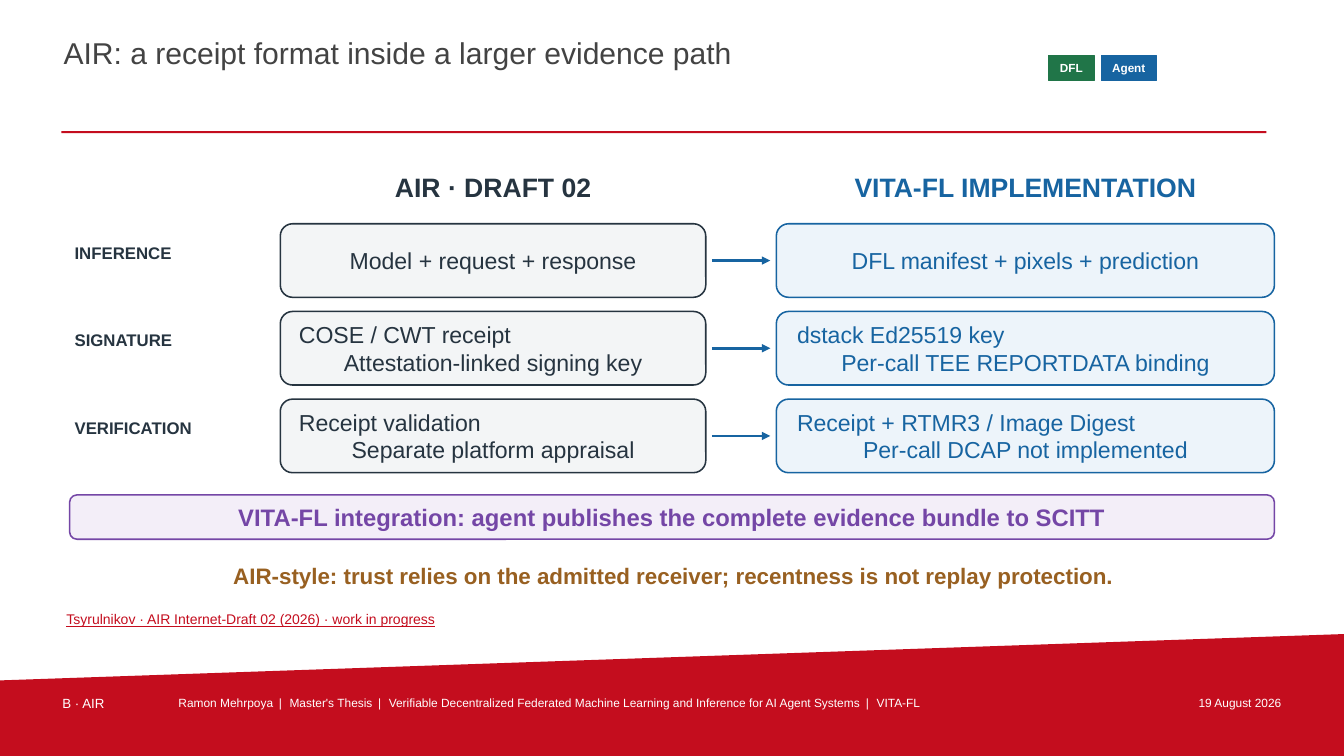
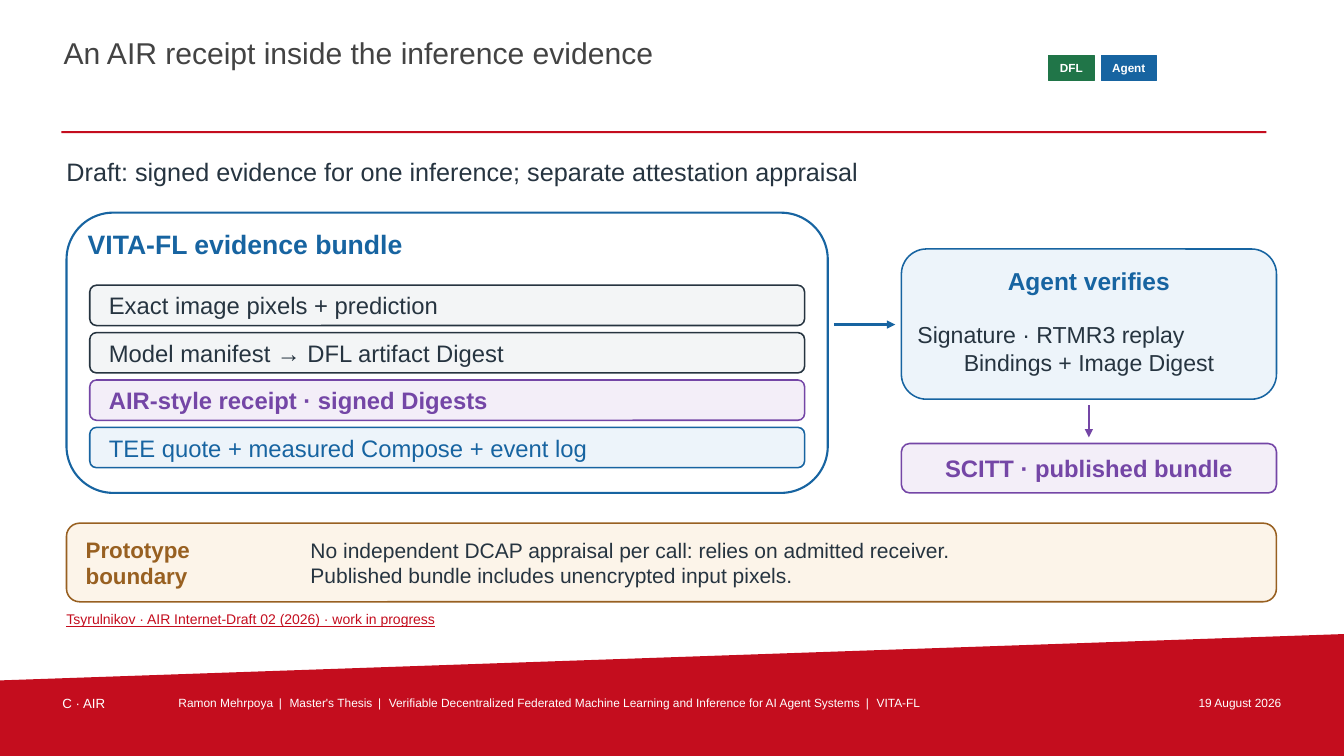
from itertools import accumulate

from lxml.etree import SubElement
from pptx import Presentation
from pptx.dml.color import RGBColor
from pptx.enum.shapes import MSO_CONNECTOR as Connector, MSO_SHAPE as Shape
from pptx.enum.text import MSO_ANCHOR as Anchor, PP_ALIGN as Align
from pptx.oxml.ns import qn
from pptx.util import Inches, Pt

WIDTH, HEIGHT = 13.33, 7.5
FONT = "Arial"
COLORS = {
    "red": "C40D1E", "title": "434343", "white": "FFFFFF", "green": "207548",
    "ink": "263440", "blue": "1764A1", "purple": "7446A6", "brown": "986021",
    "ink_tint": "F3F5F6", "blue_tint": "EDF4FA", "purple_tint": "F3EEF8",
    "brown_tint": "FCF4E9",
}
FOOTER = ["Ramon Mehrpoya", "Master's Thesis",
          "Verifiable Decentralized Federated Machine Learning and Inference for AI Agent Systems",
          "VITA-FL"]
SOURCE = "Tsyrulnikov · AIR Internet-Draft 02 (2026) · work in progress"
SEPARATOR_SPACING = "157"
ARROW_GAP = 0.06


def color(name):
    """Return a palette colour."""
    return RGBColor.from_string(COLORS[name])


def tracks(start, sizes, gap):
    """Return (start, size) pairs of columns or rows laid out with equal gaps."""
    starts = accumulate(sizes[:-1], lambda edge, size: edge + size + gap, initial=start)
    return list(zip(starts, sizes))


def write(shape, lines, size=16.5, ink="ink", bold=False, underline=False, align=Align.LEFT,
          first_align=None, anchor=Anchor.MIDDLE, inset=0, inset_y=0):
    """Fill a shape with lines; a line is a string or a list of runs with spaced separators."""
    frame = shape.text_frame
    frame.word_wrap = True
    frame.vertical_anchor = anchor
    frame.margin_left = frame.margin_right = Inches(inset)
    frame.margin_top = frame.margin_bottom = Inches(inset_y)
    for index, line in enumerate(lines):
        paragraph = frame.add_paragraph() if index else frame.paragraphs[0]
        paragraph.alignment = align if index or first_align is None else first_align
        for position, content in enumerate([line] if isinstance(line, str) else line):
            run = paragraph.add_run()
            run.text = content
            run.font.name, run.font.size = FONT, Pt(size)
            run.font.bold, run.font.underline = bold, underline
            run.font.color.rgb = color(ink)
            if position % 2:
                run.font._element.set("spc", SEPARATOR_SPACING)


def text(slide, box, *lines, **style):
    """Add a text box."""
    write(slide.shapes.add_textbox(*map(Inches, box)), lines, **style)


def card(slide, box, *lines, fill, line=None, weight=1.1, preset=Shape.ROUNDED_RECTANGLE, **style):
    """Add a filled shape with optional outline and text."""
    shape = slide.shapes.add_shape(preset, *map(Inches, box))
    shape.shadow.inherit = False
    shape.fill.solid()
    shape.fill.fore_color.rgb = color(fill)
    if line:
        shape.line.color.rgb = color(line)
        shape.line.width = Pt(weight)
    else:
        shape.line.fill.background()
    write(shape, lines, **style)


def arrow(slide, start, end, ink="blue", weight=1.9):
    """Add a straight arrow between two points."""
    connector = slide.shapes.add_connector(Connector.STRAIGHT, *map(Inches, (*start, *end)))
    connector.line.color.rgb = color(ink)
    connector.line.width = Pt(weight)
    SubElement(connector.line._get_or_add_ln(), qn("a:tailEnd"), type="triangle")
    SubElement(connector._element.spPr, qn("a:effectLst"))


def footer(slide, section):
    """Draw the slanted band with its three texts."""
    builder = slide.shapes.build_freeform(0, 675, scale=Inches(0.01))
    builder.add_line_segments([(WIDTH * 100, 629), (WIDTH * 100, HEIGHT * 100), (0, HEIGHT * 100)])
    band = builder.convert_to_shape()
    band.shadow.inherit = False
    band.fill.solid()
    band.fill.fore_color.rgb = color("red")
    band.line.fill.background()
    runs = [FOOTER[0]]
    for part in FOOTER[1:]:
        runs += [" | ", part]
    cells = [(0.6, 1.1, section, 9.5, Align.LEFT), (1.75, 9.35, runs, 8.5, Align.LEFT),
             (11.2, 1.53, "19 August 2026", 8.5, Align.RIGHT)]
    for left, width, line, size, align in cells:
        text(slide, (left, 6.88, width, 0.22), line, size=size, ink="white", align=align,
             anchor=Anchor.TOP, inset=0.02, inset_y=0.02)


def chips(slide, left, top, height=0.25):
    """Draw the row of topic chips."""
    columns = tracks(left, [0.45, 0.55], 0.07)
    for (x, width), label, fill in zip(columns, ["DFL", "Agent"], ["green", "blue"]):
        card(slide, (x, top, width, height), label, fill=fill, line=fill, weight=0.55,
             preset=Shape.RECTANGLE, size=8.4, ink="white", bold=True, align=Align.CENTER)


def base_slide(presentation, title, section):
    """Add a blank slide with the shared title, rule, chips, source and footer."""
    slide = presentation.slides.add_slide(presentation.slide_layouts[6])
    footer(slide, section)
    text(slide, (0.61, 0.32, 9.65, 0.62), title, size=21.5, ink="title",
         anchor=Anchor.TOP, inset=0.02, inset_y=0.02)
    card(slide, (0.61, 1.3, 11.95, 0.02), fill="red", preset=Shape.RECTANGLE)
    chips(slide, 10.4, 0.55)
    text(slide, (0.66, 6.04, 12, 0.2), SOURCE, size=10, ink="red", underline=True)
    return slide


def comparison(slide, left, top):
    """Draw the labelled rows that map the draft to the implementation."""
    label, *columns = tracks(left, [1.34, 4.22, 4.94], 0.7)
    headings = ["AIR · DRAFT 02", "VITA-FL IMPLEMENTATION"]
    inks = ["ink", "blue"]
    for (x, width), heading, ink in zip(columns, headings, inks):
        text(slide, (x, top, width, 0.38), heading, size=19, ink=ink, bold=True,
             align=Align.CENTER)
    content = [
        ("INFERENCE", ["Model + request + response"], ["DFL manifest + pixels + prediction"]),
        ("SIGNATURE", ["COSE / CWT receipt", "Attestation-linked signing key"],
         ["dstack Ed25519 key", "Per-call TEE REPORTDATA binding"]),
        ("VERIFICATION", ["Receipt validation", "Separate platform appraisal"],
         ["Receipt + RTMR3 / Image Digest", "Per-call DCAP not implemented"]),
    ]
    rows = tracks(top + 0.56, [0.73] * len(content), 0.14)
    for (y, height), (name, *cells) in zip(rows, content):
        text(slide, (label[0], y + 0.16, label[1], 0.25), name, size=12, bold=True)
        for (x, width), lines, ink, inset in zip(columns, cells, inks, [0.15, 0.17]):
            card(slide, (x, y, width, height), *lines, fill=f"{ink}_tint", line=ink, ink=ink,
                 align=Align.CENTER, first_align=Align.LEFT if len(lines) > 1 else None,
                 inset=inset)
        middle = y + height / 2
        arrow(slide, (sum(columns[0]) + ARROW_GAP, middle), (columns[1][0] - ARROW_GAP, middle),
              weight=1.8)


def evidence_bundle(slide, left, top, width, height):
    """Draw the outlined bundle with its stacked items."""
    card(slide, (left, top, width, height), fill="white", line="blue", weight=1.5)
    text(slide, (left + 0.21, top + 0.13, width - 0.43, 0.35), "VITA-FL evidence bundle",
         size=19, ink="blue", bold=True)
    items = [("Exact image pixels + prediction", "ink"),
             ("Model manifest → DFL artifact Digest", "ink"),
             ("AIR-style receipt · signed Digests", "purple"),
             ("TEE quote + measured Compose + event log", "blue")]
    rows = tracks(top + 0.72, [0.4] * len(items), 0.07)
    for (y, row_height), (label, ink) in zip(rows, items):
        card(slide, (left + 0.23, y, width - 0.46, row_height), label, fill=f"{ink}_tint",
             line=ink, size=17, ink=ink, bold=ink == "purple", inset=0.17)


def verification(slide, left, top, width, height):
    """Draw the agent check and the published bundle below it."""
    (check_top, check_height), (publish_top, publish_height) = tracks(
        top, [height - 0.93, 0.49], 0.44)
    card(slide, (left, check_top, width, check_height), fill="blue_tint", line="blue")
    inner_left, inner_width = left + 0.16, width - 0.32
    text(slide, (inner_left, top + 0.13, inner_width, 0.37), "Agent verifies", size=17.5,
         ink="blue", bold=True, align=Align.CENTER)
    text(slide, (inner_left, top + 0.56, inner_width, 0.85), "Signature · RTMR3 replay",
         "Bindings + Image Digest", align=Align.CENTER, first_align=Align.LEFT)
    center = left + width / 2
    arrow(slide, (center, check_top + check_height + ARROW_GAP),
          (center, publish_top - ARROW_GAP), ink="purple")
    card(slide, (left, publish_top, width, publish_height), "SCITT · published bundle",
         fill="purple_tint", line="purple", size=17, ink="purple", bold=True,
         align=Align.CENTER)


def boundary(slide, left, top, width, height):
    """Draw the note on the limits of the prototype."""
    card(slide, (left, top, width, height), fill="brown_tint", line="brown")
    text(slide, (left + 0.19, top, 2.1, height), "Prototype", "boundary",
         size=16, ink="brown", bold=True)
    text(slide, (left + 2.42, top, width - 2.67, height),
         "No independent DCAP appraisal per call: relies on admitted receiver.",
         "Published bundle includes unencrypted input pixels.", size=15)


def receipt_format_slide(presentation):
    """Build the slide that compares the draft with the implementation."""
    slide = base_slide(presentation, "AIR: a receipt format inside a larger evidence path",
                       "B · AIR")
    comparison(slide, 0.74, 1.66)
    card(slide, (0.69, 4.91, 11.95, 0.44),
         "VITA-FL integration: agent publishes the complete evidence bundle to SCITT",
         fill="purple_tint", line="purple", size=17, ink="purple", bold=True,
         align=Align.CENTER)
    text(slide, (0.74, 5.53, 11.88, 0.35),
         "AIR-style: trust relies on the admitted receiver; recentness is not replay protection.",
         size=16, ink="brown", bold=True, align=Align.CENTER)


def inference_evidence_slide(presentation):
    """Build the slide that shows the receipt within the evidence bundle."""
    slide = base_slide(presentation, "An AIR receipt inside the inference evidence", "C · AIR")
    text(slide, (0.66, 1.49, 12, 0.42),
         "Draft: signed evidence for one inference; separate attestation appraisal", size=18)
    bundle, check = tracks(0.66, [7.55, 3.72], 0.73)
    evidence_bundle(slide, bundle[0], 2.11, bundle[1], 2.78)
    verification(slide, check[0], 2.47, check[1], 2.42)
    arrow(slide, (sum(bundle) + ARROW_GAP, 3.22), (check[0] - ARROW_GAP, 3.22))
    boundary(slide, 0.66, 5.19, 12, 0.78)


def main():
    """Build and save the presentation."""
    presentation = Presentation()
    presentation.slide_width, presentation.slide_height = Inches(WIDTH), Inches(HEIGHT)
    receipt_format_slide(presentation)
    inference_evidence_slide(presentation)
    presentation.save("out.pptx")


if __name__ == "__main__":
    main()
